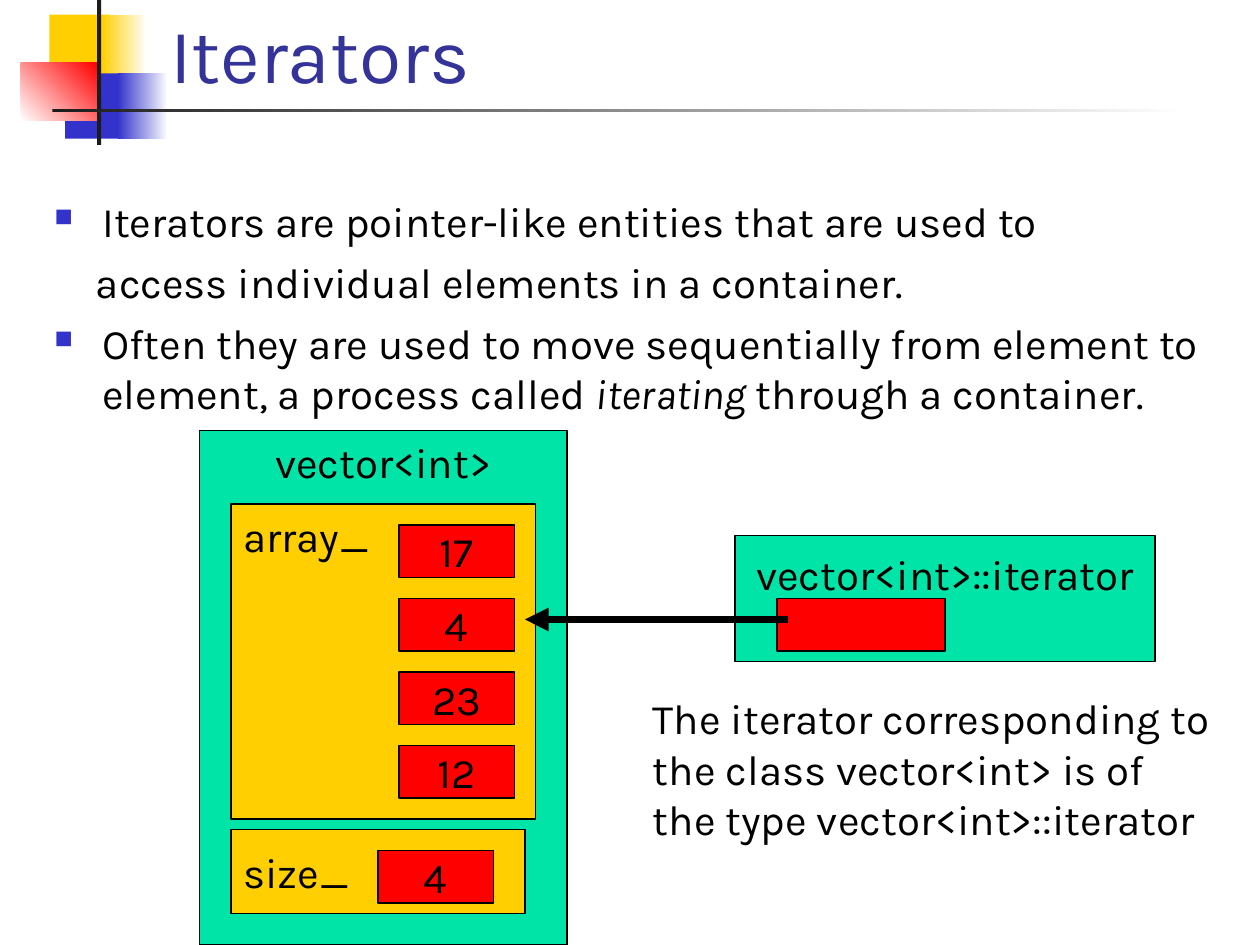
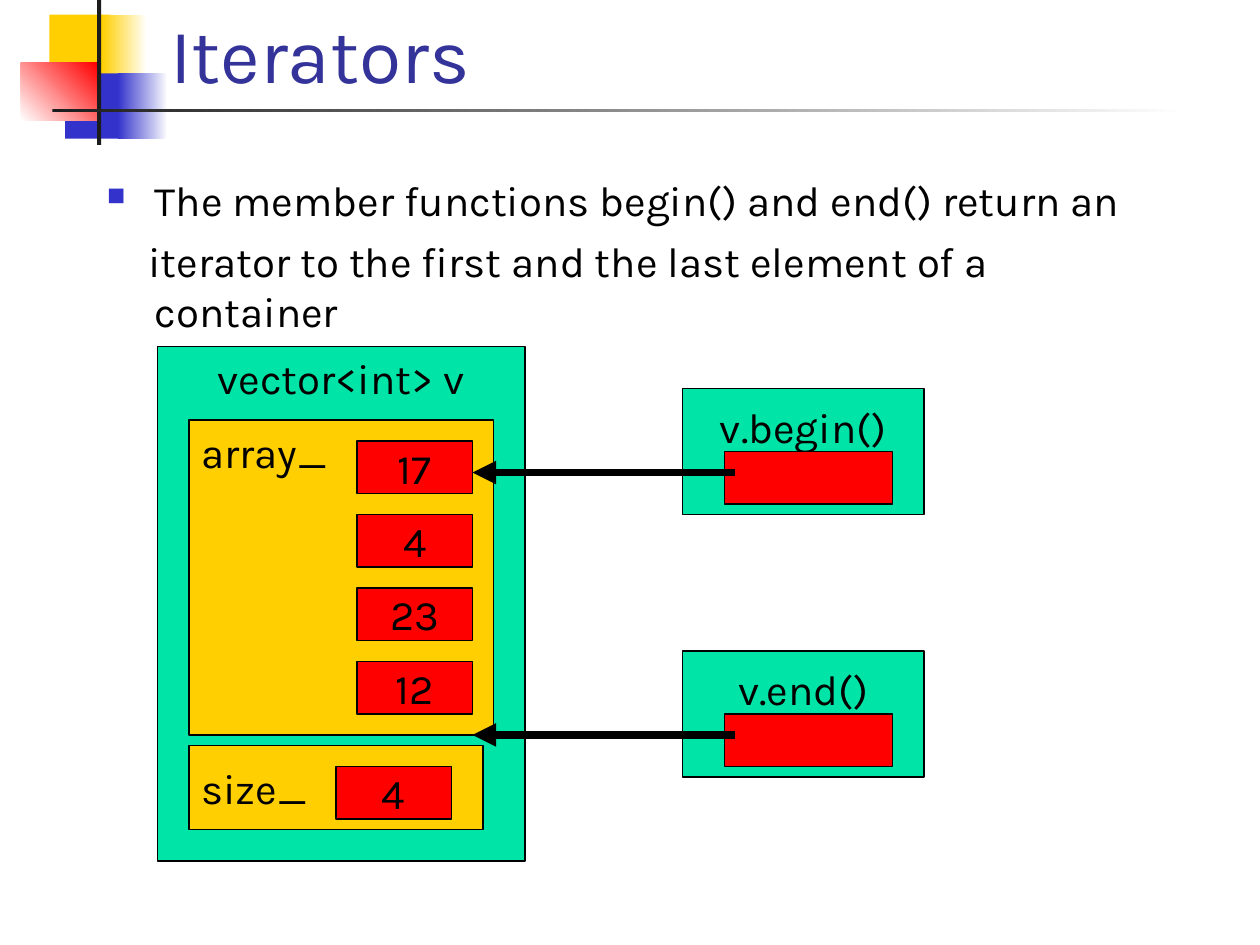
import dataclasses

import pptx
import pptx.dml.color
import pptx.enum.shapes
import pptx.enum.text
import pptx.util
import lxml.etree
import pptx.oxml.ns

ALIGN = pptx.enum.text.PP_ALIGN
ANCHOR = pptx.enum.text.MSO_ANCHOR
COLUMNS, ROWS = 120, 90
CELL_W, CELL_H, CELL_PITCH = 11, 5, 7


@dataclasses.dataclass(frozen=True)
class Theme:
    font: str = "Karla"
    title_size: float = 44
    text_size: float = 24
    title: str = "333399"
    text: str = "000000"
    outline: str = "000000"
    paper: str = "FFFFFF"
    object_fill: str = "00E4A8"
    member_fill: str = "FFCF01"
    value_fill: str = "FF0000"
    accent: str = "3333CC"
    rule: str = "1C1C1C"
    outline_width: float = 0.75
    arrow_width: float = 4.5


T = Theme()


def rgb(color):
    return pptx.dml.color.RGBColor.from_string(color)


def grid(*units):
    return [pptx.util.Inches(round(u / 12, 4)) for u in units]


def apply(target, values):
    for name, value in values.items():
        setattr(target, name, value)


def add_child(parent, tag, **attributes):
    return lxml.etree.SubElement(parent, pptx.oxml.ns.qn(tag), attributes)


def add_run(p, text, size=T.text_size, color=T.text, italic=False):
    r = p.add_run()
    r.text = text
    apply(r.font, {"name": T.font, "size": pptx.util.Pt(size), "italic": italic})
    r.font.color.rgb = rgb(color)


def add_rect(s, at, fill, outlined=True):
    sp = s.shapes.add_shape(pptx.enum.shapes.MSO_SHAPE.RECTANGLE, *grid(*at))
    sp.shadow.inherit = False
    sp.fill.solid()
    sp.fill.fore_color.rgb = rgb(fill)
    if outlined:
        sp.line.color.rgb = rgb(T.outline)
        sp.line.width = pptx.util.Pt(T.outline_width)
    else:
        sp.line.fill.background()
    return sp


def add_label_rect(s, at, fill, text, align=ALIGN.CENTER, anchor=ANCHOR.MIDDLE, top=0.05):
    sp = add_rect(s, at, fill)
    tf = sp.text_frame
    apply(tf, {"word_wrap": True, "vertical_anchor": anchor,
               "margin_top": pptx.util.Inches(top)})
    p = tf.paragraphs[0]
    p.alignment = align
    add_run(p, text)
    return sp


def add_gradient_rect(s, at, start, end, angle=0):
    sp = add_rect(s, at, start, outlined=False)
    sp.fill.gradient()
    sp.fill.gradient_angle = angle
    for stop, color in zip(sp.fill.gradient_stops, (start, end)):
        stop.color.rgb = rgb(color)
    return sp


def add_ornament(s):
    shapes = [
        add_rect(s, (4.7, 1.4, 5.8, 6.2), T.member_fill, outlined=False),
        add_gradient_rect(s, (9.7, 1.4, 4.3, 6.2), T.member_fill, T.paper),
        add_rect(s, (6.2, 7, 5.5, 6.2), T.accent, outlined=False),
        add_gradient_rect(s, (11.2, 7, 4.8, 6.2), T.accent, T.paper),
        add_gradient_rect(s, (2, 6, 7.3, 5.5), T.paper, T.value_fill, 45),
        add_rect(s, (9.24, 0, 0.4, 13.8), T.rule, outlined=False),
        add_gradient_rect(s, (5, 10.36, 108, 0.36), T.rule, T.paper),
    ]
    for sp in shapes:
        s.slide_layout.shapes.element.append(sp.element)


def set_title(s, text):
    sp = s.shapes.title
    left, top, width, height = grid(15, -5, 102, 15)
    apply(sp, {"left": left, "top": top, "width": width, "height": height})
    tf = sp.text_frame
    apply(tf, {"word_wrap": True, "vertical_anchor": ANCHOR.BOTTOM,
               "auto_size": pptx.enum.text.MSO_AUTO_SIZE.NONE})
    p = tf.paragraphs[0]
    p.alignment = ALIGN.LEFT
    add_run(p, text, T.title_size, T.title)


def add_bullet(p_pr):
    color = add_child(p_pr, "a:buClr")
    add_child(color, "a:srgbClr", val=T.accent)
    add_child(p_pr, "a:buSzPct", val="60000")
    add_child(p_pr, "a:buChar", char="■")


def add_text(s, at, paragraphs, space=0, hanging=False):
    tf = s.shapes.add_textbox(*grid(*at)).text_frame
    tf.word_wrap = True
    for i, (bulleted, runs) in enumerate(paragraphs):
        p = tf.paragraphs[0] if i == 0 else tf.add_paragraph()
        p.space_before = pptx.util.Pt(space if i else 0)
        if hanging:
            p_pr = p._p.get_or_add_pPr()
            indent = -0.38 if bulleted else -0.05
            p_pr.set("marL", str(pptx.util.Inches(0.38)))
            p_pr.set("indent", str(pptx.util.Inches(indent)))
            if bulleted:
                add_bullet(p_pr)
        for text, italic in runs:
            add_run(p, text, italic=italic)


def plain(text, bulleted=False):
    return bulleted, [(text, False)]


def add_vector(s, x, y, name, values):
    add_label_rect(s, (x, y, 35, 49), T.object_fill, name, anchor=ANCHOR.TOP)
    add_label_rect(s, (x + 3, y + 7, 29, 30), T.member_fill, "array_", ALIGN.LEFT, ANCHOR.TOP)
    for i, value in enumerate(values):
        at = (x + 19, y + 9 + i * CELL_PITCH, CELL_W, CELL_H)
        add_label_rect(s, at, T.value_fill, str(value))
    add_label_rect(s, (x + 3, y + 38, 28, 8), T.member_fill, "size_", ALIGN.LEFT)
    add_label_rect(s, (x + 17, y + 40, CELL_W, CELL_H), T.value_fill, str(len(values)))


def add_arrow(s, x, y, length):
    c = s.shapes.add_connector(pptx.enum.shapes.MSO_CONNECTOR.STRAIGHT,
                               *grid(x, y, x - length, y))
    c.line.color.rgb = rgb(T.outline)
    c.line.width = pptx.util.Pt(T.arrow_width)
    add_child(c.line._get_or_add_ln(), "a:tailEnd", type="triangle")
    add_child(c._element.spPr, "a:effectLst")


def add_iterator(s, x, y, width, name, arrow_drop=8):
    add_label_rect(s, (x, y, width, 12), T.object_fill, name, anchor=ANCHOR.TOP, top=0.1)
    add_rect(s, (x + 4, y + 6, 16, CELL_H), T.value_fill)
    add_arrow(s, x + 5, y + arrow_drop, 25)


def new_slide(prs, title):
    s = prs.slides.add_slide(prs.slide_layouts[5])
    set_title(s, title)
    return s


def main():
    prs = pptx.Presentation()
    prs.slide_width, prs.slide_height = grid(COLUMNS, ROWS)
    values = [17, 4, 23, 12]

    s = new_slide(prs, "Iterators")
    add_ornament(s)
    add_text(s, (4, 18, 113.5, 62.5), [
        plain("Iterators are pointer-like entities that are used to", True),
        plain("access individual elements in a container."),
        (True, [
            ("Often they are used to move sequentially from element to element, "
             "a process called ", False),
            ("iterating", True),
            (" through a container.", False),
        ]),
    ], space=6, hanging=True)
    add_vector(s, 19, 41, "vector<int>", values)
    add_iterator(s, 70, 51, 40, "vector<int>::iterator")
    add_text(s, (61, 65.4, 58, 15.6), [
        plain("The iterator corresponding to"),
        plain("the class vector<int> is of"),
        plain("the type vector<int>::iterator"),
    ])

    s = new_slide(prs, "Iterators")
    add_text(s, (9, 16, 102, 54), [
        plain("The member functions begin() and end() return an", True),
        plain("iterator to the first and the last element of a container"),
    ], space=6, hanging=True)
    add_vector(s, 15, 33, "vector<int> v", values)
    for name, y in (("v.end()", 62), ("v.begin()", 37)):
        add_iterator(s, 65, y, 23, name)

    prs.save("out.pptx")


if __name__ == "__main__":
    main()
